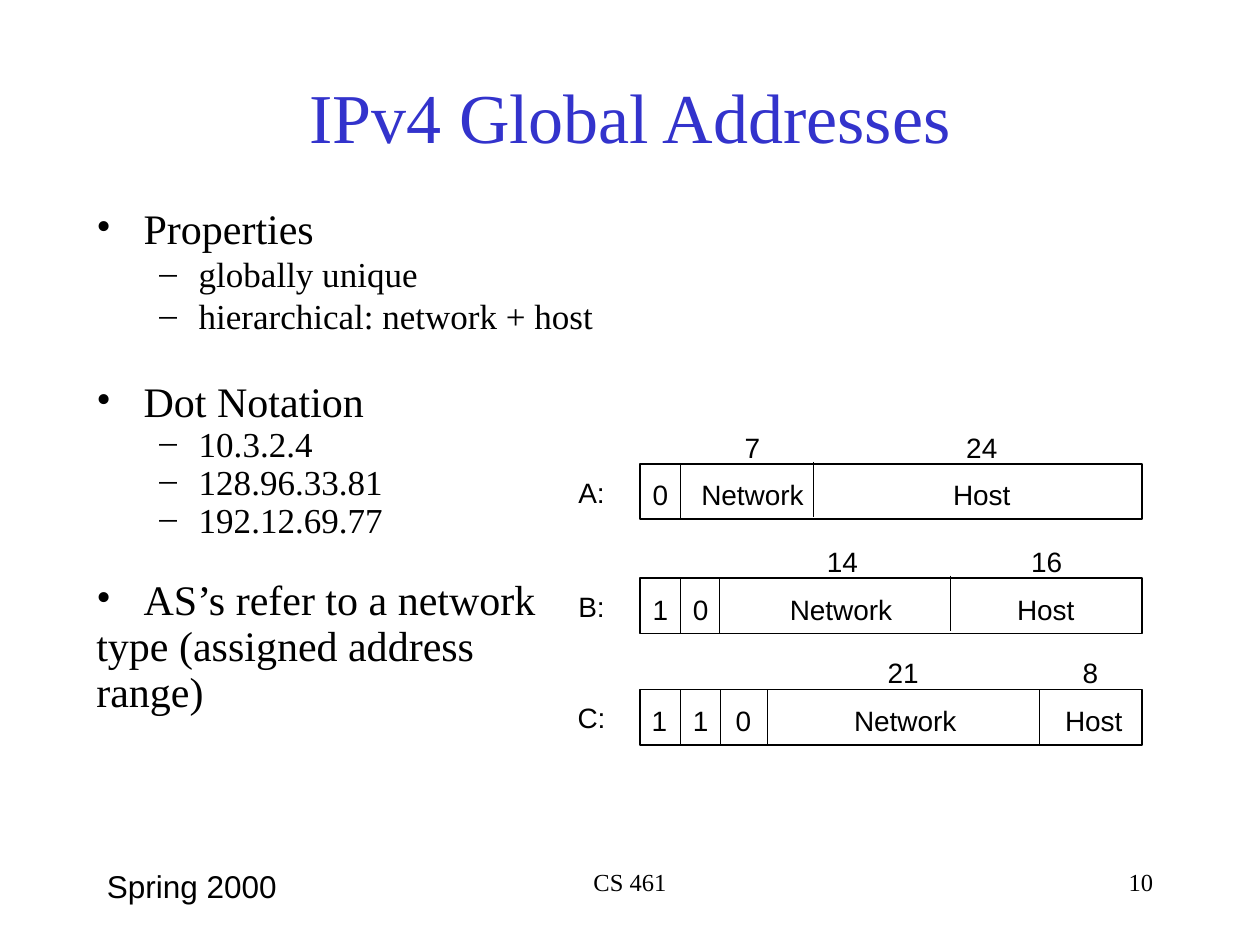
"""Build the IPv4 Global Addresses slide with its three address class diagrams."""
from dataclasses import dataclass

from lxml.etree import SubElement
from pptx import Presentation
from pptx.dml.color import RGBColor
from pptx.enum.shapes import MSO_CONNECTOR, MSO_SHAPE
from pptx.enum.text import MSO_ANCHOR, MSO_AUTO_SIZE, PP_ALIGN
from pptx.oxml.ns import qn
from pptx.slide import Slide
from pptx.text.text import TextFrame
from pptx.util import Pt

BLACK = "000000"
SERIF, SANS = "Times New Roman", "Arial"
BOX_LEFT, BOX_RIGHT, BOX_HEIGHT = 365.6, 652.6, 31.6
LABEL_CENTER, LABEL_HEIGHT = 338, 19.4
DIGIT_WIDTH = 9.2
WIDTHS = {"Network": 60, "Host": 34, "A:": 16, "B:": 16, "C:": 17}


@dataclass
class Bullet:
    text: str
    level: int = 0
    spacing: float = 0.7
    before: float = 6
    mark: str = "•"


@dataclass
class Field:
    text: str
    center: float
    bits: str = ""
    bits_center: float = 0


@dataclass
class AddressClass:
    label: str
    top: float
    fields: list[Field]
    dividers: list[float]
    last_rise: float = 0


BULLETS = [
    Bullet("Properties"),
    Bullet("globally unique", 1, 0.8, 5, "–"),
    Bullet("hierarchical: network + host", 1, 0.8, 5, "–"),
    Bullet("Dot Notation", before=30.5),
    Bullet("10.3.2.4", 1, 0.7, 5, "–"),
    Bullet("128.96.33.81", 1, 0.7, 5, "–"),
    Bullet("192.12.69.77", 1, 0.7, 5, "–"),
    Bullet("AS’s refer to a network", before=27.7),
    Bullet("type (assigned address", mark=""),
    Bullet("range)", mark=""),
]

CLASSES = [
    AddressClass("A:", 265, [
        Field("0", 377.3),
        Field("Network", 430, "7", 430),
        Field("Host", 561, "24", 561),
    ], [388.8, 464.8], 1),
    AddressClass("B:", 330.4, [
        Field("1", 377.3),
        Field("0", 400.4),
        Field("Network", 480.6, "14", 481.3),
        Field("Host", 597.6, "16", 598),
    ], [388.8, 411.2, 543.2], 1.5),
    AddressClass("C:", 394, [
        Field("1", 376.8),
        Field("1", 400.4),
        Field("0", 424.8),
        Field("Network", 517.3, "21", 516),
        Field("Host", 625, "8", 623),
    ], [388.8, 411.8, 438.6, 594]),
]


def color(value: str) -> RGBColor:
    return RGBColor.from_string(value)


def add_text(s: Slide, text: str, left: float, top: float, width: float, height: float,
             size: float, font: str, align=PP_ALIGN.LEFT, fill: str = BLACK,
             inset: bool = True) -> TextFrame:
    tf = s.shapes.add_textbox(Pt(left), Pt(top), Pt(width), Pt(height)).text_frame
    tf.word_wrap = inset
    if not inset:
        tf.auto_size = MSO_AUTO_SIZE.SHAPE_TO_FIT_TEXT
        tf.margin_left = tf.margin_right = tf.margin_top = tf.margin_bottom = 0
    tf.text = text
    for p in tf.paragraphs:
        p.alignment = align
        for r in p.runs:
            r.font.size, r.font.name = Pt(size), font
            r.font.color.rgb = color(fill)
    return tf


def add_bullets(s: Slide, bullets: list[Bullet]) -> None:
    text = "\n".join(b.text for b in bullets)
    tf = add_text(s, text, 48, 120, 612, 324, 24, SERIF)
    for p, b in zip(tf.paragraphs, bullets):
        p.level, p.line_spacing, p.space_before = b.level, b.spacing, Pt(b.before)
        p.runs[0].font.size = Pt(20 if b.level else 24)
        margin, indent = (58.5, -22.5) if b.level else (27, -27)
        pr = p._p.get_or_add_pPr()
        pr.set("marL", str(Pt(margin)))
        pr.set("indent", str(Pt(indent)))
        if b.mark:
            SubElement(pr, qn("a:buFont")).set("typeface", SERIF)
            SubElement(pr, qn("a:buChar")).set("char", b.mark)
        else:
            SubElement(pr, qn("a:buNone"))


def add_label(s: Slide, text: str, center: float, top: float) -> None:
    width = WIDTHS.get(text, DIGIT_WIDTH * len(text))
    add_text(s, text, center - width / 2, top, width, LABEL_HEIGHT, 16, SANS,
             PP_ALIGN.CENTER, inset=False)


def add_divider(s: Slide, x: float, top: float) -> None:
    line = s.shapes.add_connector(
        MSO_CONNECTOR.STRAIGHT, Pt(x), Pt(top), Pt(x), Pt(top + BOX_HEIGHT))
    line.line.color.rgb = color(BLACK)
    line.line.width = Pt(1)
    SubElement(line._element.spPr, qn("a:effectLst"))


def add_address_class(s: Slide, row: AddressClass) -> None:
    box = s.shapes.add_shape(MSO_SHAPE.RECTANGLE, Pt(BOX_LEFT), Pt(row.top),
                             Pt(BOX_RIGHT - BOX_LEFT), Pt(BOX_HEIGHT))
    box.shadow.inherit = False
    box.fill.background()
    box.line.color.rgb = color(BLACK)
    box.line.width = Pt(1)
    add_label(s, row.label, LABEL_CENTER, row.top + 6.5)
    for field in row.fields:
        add_label(s, field.text, field.center, row.top + 8)
        if field.bits:
            add_label(s, field.bits, field.bits_center, row.top - 19.2)
    for x in row.dividers:
        rise = row.last_rise if x == row.dividers[-1] else 0
        add_divider(s, x, row.top - rise)


def main() -> None:
    prs = Presentation()
    prs.slide_width, prs.slide_height = Pt(720), Pt(540)
    s = prs.slides.add_slide(prs.slide_layouts[6])
    title = add_text(s, "IPv4 Global Addresses", 54, 30, 612, 72, 40, SERIF,
                     PP_ALIGN.CENTER, "3333CC")
    title.vertical_anchor = MSO_ANCHOR.MIDDLE
    add_bullets(s, BULLETS)
    for row in CLASSES:
        add_address_class(s, row)
    add_text(s, "CS 461", 246, 492, 228, 36, 14, SERIF, PP_ALIGN.CENTER)
    add_text(s, "10", 516, 492, 150, 36, 14, SERIF, PP_ALIGN.RIGHT)
    add_text(s, "Spring 2000", 54, 492, 150, 36, 18, SANS)
    prs.save("out.pptx")


if __name__ == "__main__":
    main()
